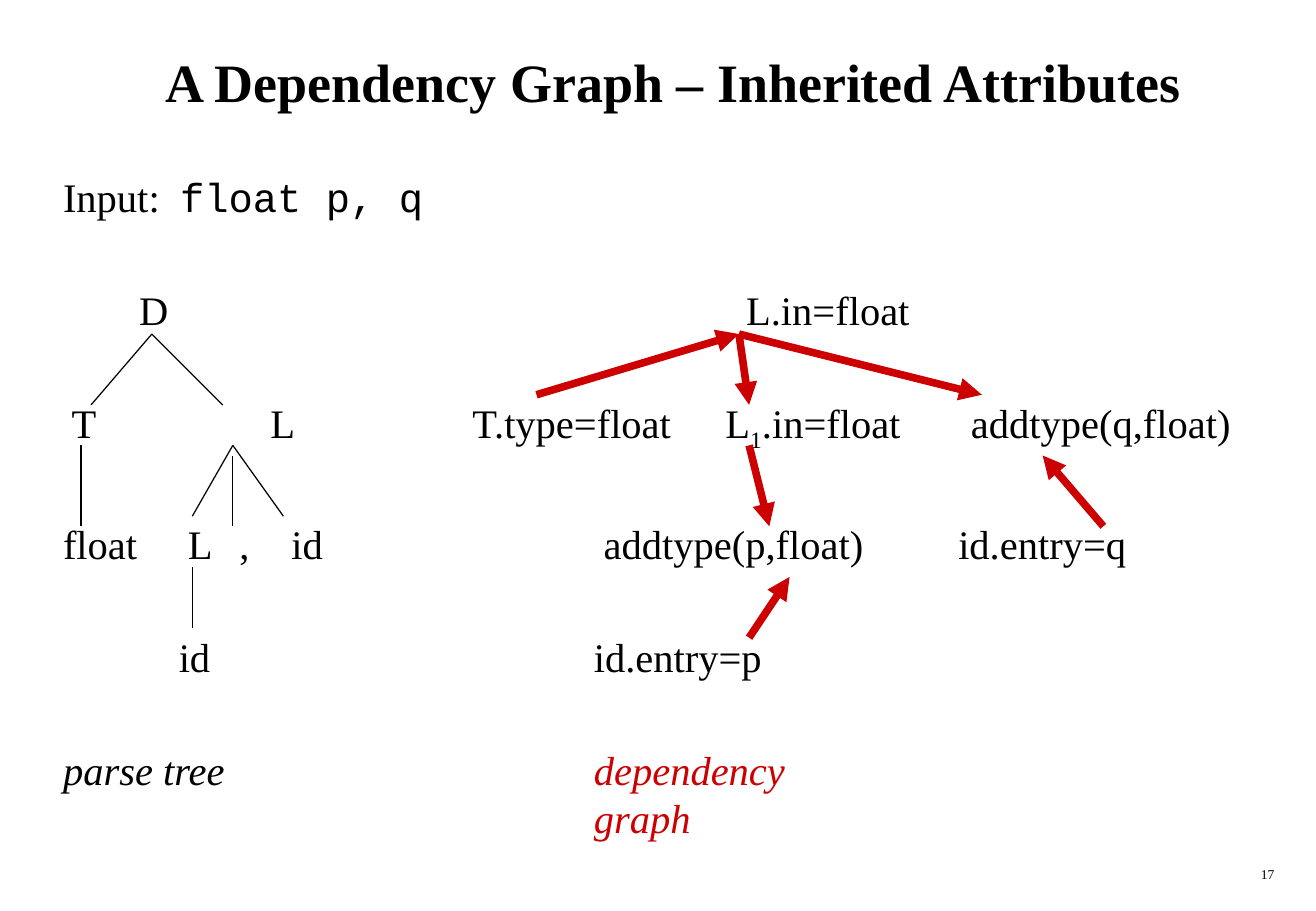
import pptx
import pptx.util
import pptx.dml.color
import pptx.enum.shapes
import pptx.enum.text
import pptx.oxml.ns
from lxml import etree

Pt = pptx.util.Pt
ALIGN = pptx.enum.text.PP_ALIGN
ANCHOR = pptx.enum.text.MSO_ANCHOR
BLACK = pptx.dml.color.RGBColor(0x00, 0x00, 0x00)
RED = pptx.dml.color.RGBColor(0xCC, 0x00, 0x00)
SERIF, MONO = "Times New Roman", "Courier New"

# Content
TITLE = "A Dependency Graph – Inherited Attributes"
PAGE = "17"
ROW_TOPS = [102, 169, 236, 307.5, 374.5, 441.5]
LEFT, GRAPH_LEFT = 37.4, 352

# Row, left, width, runs as (text, format)
LABELS = [
    (0, LEFT, 216, [("Input:  ", {}), ("float p, q", {"font": MONO})]),
    (1, 82.4, 18, [("D", {})]),
    (1, 442.3, 97, [("L.in=float", {})]),
    (2, 42.4, 15, [("T", {})]),
    (2, 160.3, 15, [("L", {})]),
    (2, 280, 118, [("T.type=float", {})]),
    (2, 430, 104, [("L", {}), ("1", {"sub": True}), (".in=float", {})]),
    (2, 575.5, 154, [("addtype(q,float)", {})]),
    (3, LEFT, 44, [("float", {})]),
    (3, 111.4, 15, [("L", {})]),
    (3, 141.9, 6, [(",", {})]),
    (3, 172.8, 19, [("id", {})]),
    (3, 357.8, 154, [("addtype(p,float)", {})]),
    (3, 568, 100, [("id.entry=q", {})]),
    (4, 106, 19, [("id", {})]),
    (4, GRAPH_LEFT, 100, [("id.entry=p", {})]),
    (5, LEFT, 96, [("parse tree", {"italic": True})]),
    (5, GRAPH_LEFT, 176, [("dependency graph", {"italic": True, "color": RED})]),
]

# Ends of lines: x1, y1, x2, y2
TREE_EDGES = [
    (90, 198, 54, 240), (90, 198, 132, 240), (48, 264, 48, 312),
    (138, 264, 114, 306), (138, 264, 168, 306), (138, 312, 138, 270),
    (114, 336, 114, 372),
]
DEPENDENCIES = [
    (318, 234, 438, 198), (438, 198, 444, 240), (438, 198, 582, 234),
    (444, 264, 456, 312), (444, 378, 468, 342), (654, 312, 618, 270),
]

prs = pptx.Presentation()
prs.slide_width, prs.slide_height = Pt(780), Pt(540)
s = prs.slides.add_slide(prs.slide_layouts[6])


def add_text(x, y, w, h, runs, size=24, bold=False, align=ALIGN.LEFT,
             anchor=ANCHOR.TOP, wrap=False):
    tf = s.shapes.add_textbox(Pt(x), Pt(y), Pt(w), Pt(h)).text_frame
    tf.margin_left = tf.margin_right = tf.margin_top = tf.margin_bottom = 0
    tf.word_wrap, tf.vertical_anchor = wrap, anchor
    p = tf.paragraphs[0]
    p.alignment = align
    for text, fmt in runs:
        r = p.add_run()
        r.text = text
        r.font.name = fmt.get("font", SERIF)
        r.font.size = Pt(size)
        r.font.bold = bold
        r.font.italic = fmt.get("italic", False)
        r.font.color.rgb = fmt.get("color", BLACK)
        if fmt.get("sub"):
            r.font._element.set("baseline", "-25000")


def add_line(ends, color, width, arrow=False):
    c = s.shapes.add_connector(pptx.enum.shapes.MSO_CONNECTOR.STRAIGHT,
                               *[Pt(v) for v in ends])
    c.line.color.rgb, c.line.width = color, Pt(width)
    if arrow:
        etree.SubElement(c.line._get_or_add_ln(),
                         pptx.oxml.ns.qn("a:tailEnd"), type="triangle")
    etree.SubElement(c._element.spPr, pptx.oxml.ns.qn("a:effectLst"))


# Title and page number
add_text(37.4, 12, 723.6, 72, [(TITLE, {})], 32, True, ALIGN.CENTER,
         ANCHOR.MIDDLE, True)
add_text(600, 513.6, 155.3, 18, [(PAGE, {})], 8, align=ALIGN.RIGHT, wrap=True)

# Node labels and captions
for row, x, w, runs in LABELS:
    add_text(x, ROW_TOPS[row], w, 28, runs)

# Parse tree edges and dependency arrows
for ends in TREE_EDGES:
    add_line(ends, BLACK, 0.75)
for ends in DEPENDENCIES:
    add_line(ends, RED, 4.5, arrow=True)

prs.save("out.pptx")
